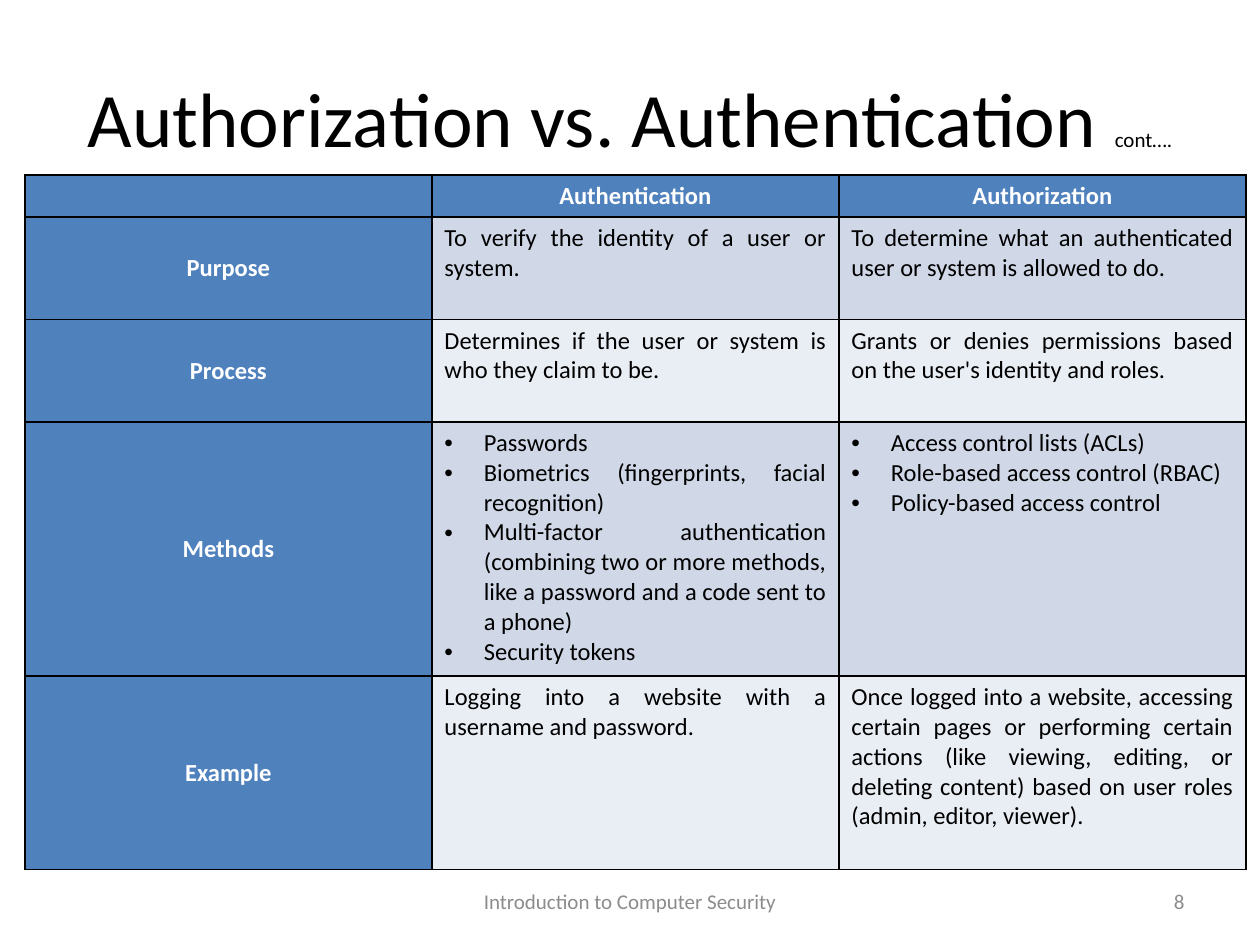
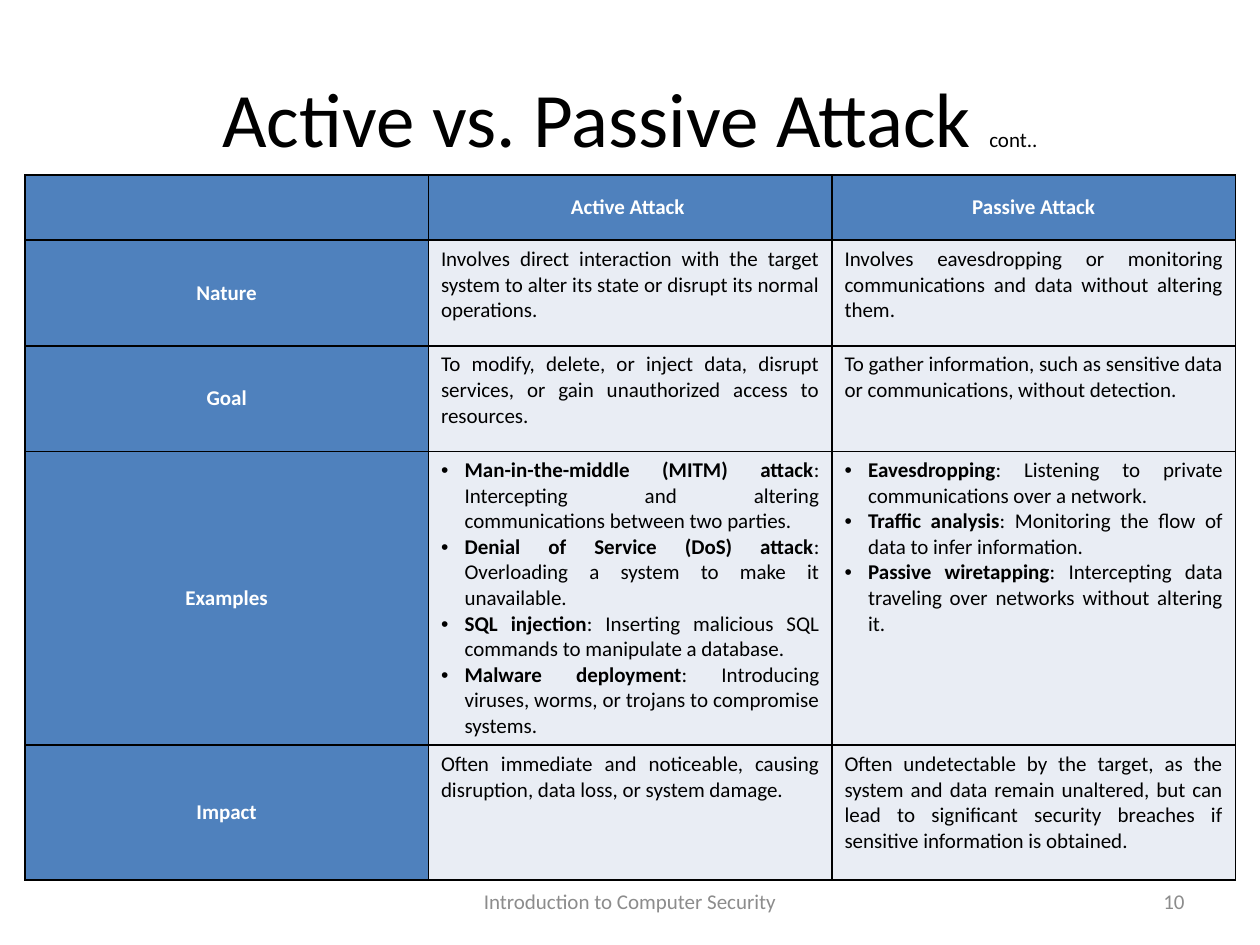
"""Build two comparison slides on computer security."""
import pptx
import pptx.dml.color
import pptx.enum.text
import pptx.oxml
import pptx.oxml.ns
import pptx.util
from lxml import etree

Pt = pptx.util.Pt
ALIGN = pptx.enum.text.PP_ALIGN
MIDDLE = pptx.enum.text.MSO_ANCHOR.MIDDLE
TOP = pptx.enum.text.MSO_ANCHOR.TOP
FONT = "Calibri"
BLACK, WHITE, GREY = "000000", "FFFFFF", "8C8C8C"
BLUE, DARK, LIGHT = "4F81BD", "D0D8E8", "E9EDF4"
COURSE = "Introduction to Computer Security"

ACCESS = [
    ["", "Authentication", "Authorization"],
    ["Purpose",
     "To verify the identity of a user or system.",
     "To determine what an authenticated user or system is allowed to do."],
    ["Process",
     "Determines if the user or system is who they claim to be.",
     "Grants or denies permissions based on the user's identity and roles."],
    ["Methods",
     ["Passwords",
      "Biometrics (fingerprints, facial recognition)",
      "Multi-factor authentication (combining two or more methods, "
      "like a password and a code sent to a phone)",
      "Security tokens"],
     ["Access control lists (ACLs)",
      "Role-based access control (RBAC)",
      "Policy-based access control"]],
    ["Example",
     "Logging into a website with a username and password.",
     "Once logged into a website, accessing certain pages or performing "
     "certain actions (like viewing, editing, or deleting content) based on "
     "user roles (admin, editor, viewer)."],
]

ATTACK = [
    ["", "Active Attack ", "Passive Attack"],
    ["Nature",
     "Involves direct interaction with the target system to alter its state "
     "or disrupt its normal operations.",
     "Involves eavesdropping or monitoring communications and data without "
     "altering them."],
    ["Goal",
     "To modify, delete, or inject data, disrupt services, or gain "
     "unauthorized access to resources.",
     "To gather information, such as sensitive data or communications, "
     "without detection."],
    ["Examples",
     ["Man-in-the-middle (MITM) attack: Intercepting and altering "
      "communications between two parties.",
      "Denial of Service (DoS) attack: Overloading a system to make it "
      "unavailable.",
      "SQL injection: Inserting malicious SQL commands to manipulate a "
      "database.",
      "Malware deployment: Introducing viruses, worms, or trojans to "
      "compromise systems."],
     ["Eavesdropping: Listening to private communications over a network.",
      "Traffic analysis: Monitoring the flow of data to infer information.",
      "Passive wiretapping: Intercepting data traveling over networks "
      "without altering it."]],
    ["Impact",
     "Often immediate and noticeable, causing disruption, data loss, or "
     "system damage.",
     "Often undetectable by the target, as the system and data remain "
     "unaltered, but can lead to significant security breaches if sensitive "
     "information is obtained."],
]


def paint(hue):
    """Turn a hex string into a colour."""
    return pptx.dml.color.RGBColor.from_string(hue)


def add_run(para, text, size, hue=BLACK, bold=False):
    """Add one styled run to a paragraph."""
    run = para.add_run()
    run.text = text
    font = run.font
    font.name, font.size, font.bold = FONT, Pt(size), bold
    font.color.rgb = paint(hue)


def add_title(slide, text, tail):
    """Fill the title and its small closing word."""
    title = slide.shapes.title
    title.left, title.top = Pt(36), Pt(21.6)
    title.width, title.height = Pt(648), Pt(90)
    frame = title.text_frame
    frame.vertical_anchor = MIDDLE
    para = frame.paragraphs[0]
    para.alignment = ALIGN.CENTER
    add_run(para, text + " ", 44)
    add_run(para, tail, 12)


def add_note(slide, text, left, width, align):
    """Add one grey footer text."""
    box = slide.shapes.add_textbox(Pt(left), Pt(500.5), Pt(width), Pt(28.75))
    frame = box.text_frame
    frame.word_wrap = True
    frame.vertical_anchor = MIDDLE
    para = frame.paragraphs[0]
    para.alignment = align
    add_run(para, text, 12, GREY)


def add_edges(cell):
    """Draw thin black borders round a cell."""
    props = cell._tc.get_or_add_tcPr()
    for side in "LRTB":
        line = pptx.oxml.parse_xml(
            f'<a:ln{side} {pptx.oxml.ns.nsdecls("a")} w="12700">'
            f'<a:solidFill><a:srgbClr val="{BLACK}"/></a:solidFill>'
            f'</a:ln{side}>')
        props.append(line)


def add_mark(para, indent):
    """Give a paragraph a hanging bullet."""
    props = para._p.get_or_add_pPr()
    props.set("marL", str(Pt(indent)))
    props.set("indent", str(-Pt(indent)))
    font = etree.SubElement(props, pptx.oxml.ns.qn("a:buFont"))
    font.set("typeface", "Arial")
    mark = etree.SubElement(props, pptx.oxml.ns.qn("a:buChar"))
    mark.set("char", "•")


def fill_head(cell, text, size):
    """Write a white centred heading on blue."""
    cell.vertical_anchor = MIDDLE
    para = cell.text_frame.paragraphs[0]
    para.alignment = ALIGN.CENTER
    if text:
        add_run(para, text, size, WHITE, True)
    else:
        end = etree.SubElement(para._p, pptx.oxml.ns.qn("a:endParaRPr"))
        end.set("sz", str(size * 100))


def fill_body(cell, text, size, indent):
    """Write a justified text or bullet list, bold up to a colon."""
    cell.vertical_anchor = TOP
    frame = cell.text_frame
    listed = isinstance(text, list)
    for spot, item in enumerate(text if listed else [text]):
        para = frame.add_paragraph() if spot else frame.paragraphs[0]
        para.alignment = ALIGN.JUSTIFY
        if listed:
            add_mark(para, indent)
        label, colon, rest = item.partition(":")
        add_run(para, label, size, bold=bool(colon))
        if colon:
            add_run(para, colon + rest, size)


def add_grid(slide, rows, wide, highs, size, indent, bands):
    """Add the comparison table with its banded body."""
    count = len(rows[0])
    frame = slide.shapes.add_table(
        len(rows), count, Pt(14.2), Pt(100.1), Pt(wide * count),
        Pt(sum(highs)))
    table = frame.table
    for col in table.columns:
        col.width = Pt(wide)
    for y, (row, high) in enumerate(zip(rows, highs)):
        table.rows[y].height = Pt(high)
        for x, text in enumerate(row):
            cell = table.cell(y, x)
            head = x == 0 or y == 0
            add_edges(cell)
            cell.fill.solid()
            cell.fill.fore_color.rgb = paint(
                BLUE if head else bands[(y - 1) % len(bands)])
            if head:
                fill_head(cell, text, size)
            else:
                fill_body(cell, text, size, indent)


def add_page(deck, title, tail, number):
    """Add a slide with its title and footers."""
    slide = deck.slides.add_slide(deck.slide_layouts[5])
    add_title(slide, title, tail)
    add_note(slide, COURSE, 246, 228, ALIGN.CENTER)
    add_note(slide, number, 516, 168, ALIGN.RIGHT)
    return slide


def main():
    """Build and save the deck."""
    deck = pptx.Presentation()
    deck.slide_width, deck.slide_height = Pt(720), Pt(540)
    slide = add_page(deck, "Authorization vs. Authentication", "cont….", "8")
    add_grid(slide, ACCESS, 232.6, [24, 58.5, 58.5, 145.2, 110.5], 14, 22.5,
             [DARK, LIGHT])
    slide = add_page(deck, "Active vs. Passive Attack", "cont..", "10")
    add_grid(slide, ATTACK, 230.6, [37.2, 60.3, 60.3, 168, 77], 12, 13.5,
             [LIGHT])
    deck.save("out.pptx")


if __name__ == "__main__":
    main()
